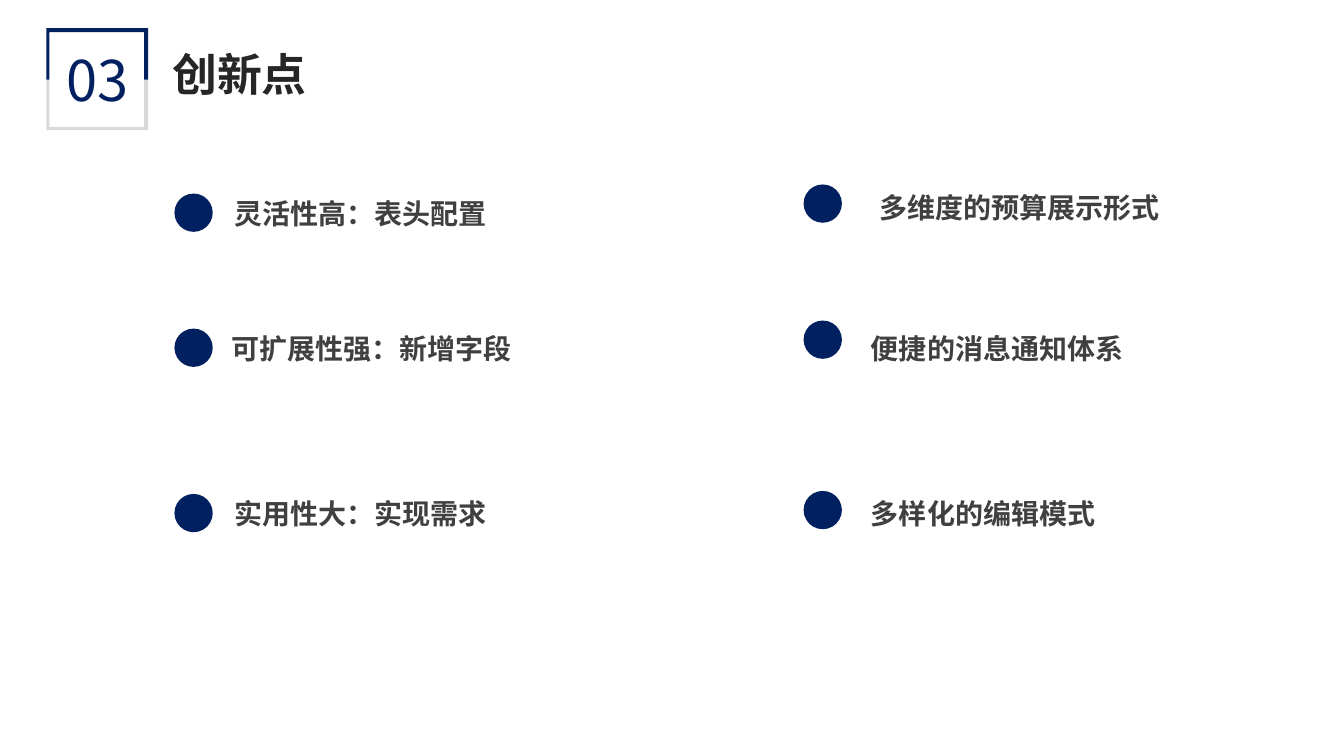
"""Build the innovation points slide with its numbered heading and six bulleted points."""
from lxml.etree import SubElement
from pptx import Presentation
from pptx.dml.color import RGBColor
from pptx.enum.shapes import MSO_SHAPE
from pptx.enum.text import MSO_AUTO_SIZE, PP_ALIGN
from pptx.oxml.ns import qn
from pptx.util import Inches, Pt

FONT = "Noto Sans CJK SC"
COLORS = {"navy": "002060", "gray": "D9D9D9", "title": "262626", "body": "404040"}
DOT_SIZE = 0.38


def add_text(text, left, top, width, height, size, color, bold=False,
             align=PP_ALIGN.LEFT, spacing=None, wrap=True):
    box = slide.shapes.add_textbox(Inches(left), Inches(top), Inches(width), Inches(height))
    frame = box.text_frame
    frame.word_wrap = wrap
    frame.auto_size = MSO_AUTO_SIZE.SHAPE_TO_FIT_TEXT
    paragraph = frame.paragraphs[0]
    paragraph.alignment = align
    paragraph.line_spacing = spacing
    run = paragraph.add_run()
    run.text = text
    run.font.size = Pt(size)
    run.font.bold = bold
    run.font.name = FONT
    run.font.color.rgb = RGBColor.from_string(COLORS[color])
    SubElement(run._r.get_or_add_rPr(), qn("a:ea"), typeface=FONT)


def paint(shape, color):
    shape.shadow.inherit = False
    shape.fill.solid()
    shape.fill.fore_color.rgb = RGBColor.from_string(COLORS[color])
    shape.line.fill.background()


presentation = Presentation()
presentation.slide_width = Inches(13.33)
presentation.slide_height = Inches(7.5)
slide = presentation.slides.add_slide(presentation.slide_layouts[6])

add_text("创新点", 1.61, 0.41, 1.54, 0.64, size=32, color="title", bold=True, wrap=False)

frame_middle = 0.79
for outer, inner, color in [(1.29, 1.26, "gray"), (0.28, 0.32, "navy")]:
    corners = [
        (0.46, frame_middle), (0.46, outer), (1.47, outer), (1.47, frame_middle),
        (1.43, frame_middle), (1.43, inner), (0.49, inner), (0.49, frame_middle),
    ]
    points = [(Inches(x), Inches(y)) for x, y in corners]
    builder = slide.shapes.build_freeform(*points[0])
    builder.add_line_segments(points[1:])
    paint(builder.convert_to_shape(), color)

add_text("03", 0.46, 0.4, 1.01, 0.77, size=40, color="navy", align=PP_ALIGN.CENTER)

columns = [
    (1.73, 2.11, [
        ("灵活性高：表头配置", 1.92, 1.83, 2.93, PP_ALIGN.CENTER),
        ("可扩展性强：新增字段", 3.26, 3.17, 3.15, PP_ALIGN.CENTER),
        ("实用性大：实现需求", 4.9, 4.81, 2.93, PP_ALIGN.CENTER),
    ]),
    (7.97, 8.54, [
        ("多维度的预算展示形式", 1.83, 1.77, 3.14, PP_ALIGN.CENTER),
        ("便捷的消息通知体系", 3.18, 3.17, 2.93, PP_ALIGN.LEFT),
        ("多样化的编辑模式", 4.87, 4.81, 2.77, PP_ALIGN.LEFT),
    ]),
]
for dot_left, text_left, items in columns:
    for text, dot_top, text_top, width, align in items:
        dot = slide.shapes.add_shape(MSO_SHAPE.OVAL, Inches(dot_left), Inches(dot_top),
                                     Inches(DOT_SIZE), Inches(DOT_SIZE))
        paint(dot, "navy")
        add_text(text, text_left, text_top, width, 0.5, size=20, color="body",
                 bold=True, align=align, spacing=1.2)

presentation.save("out.pptx")
